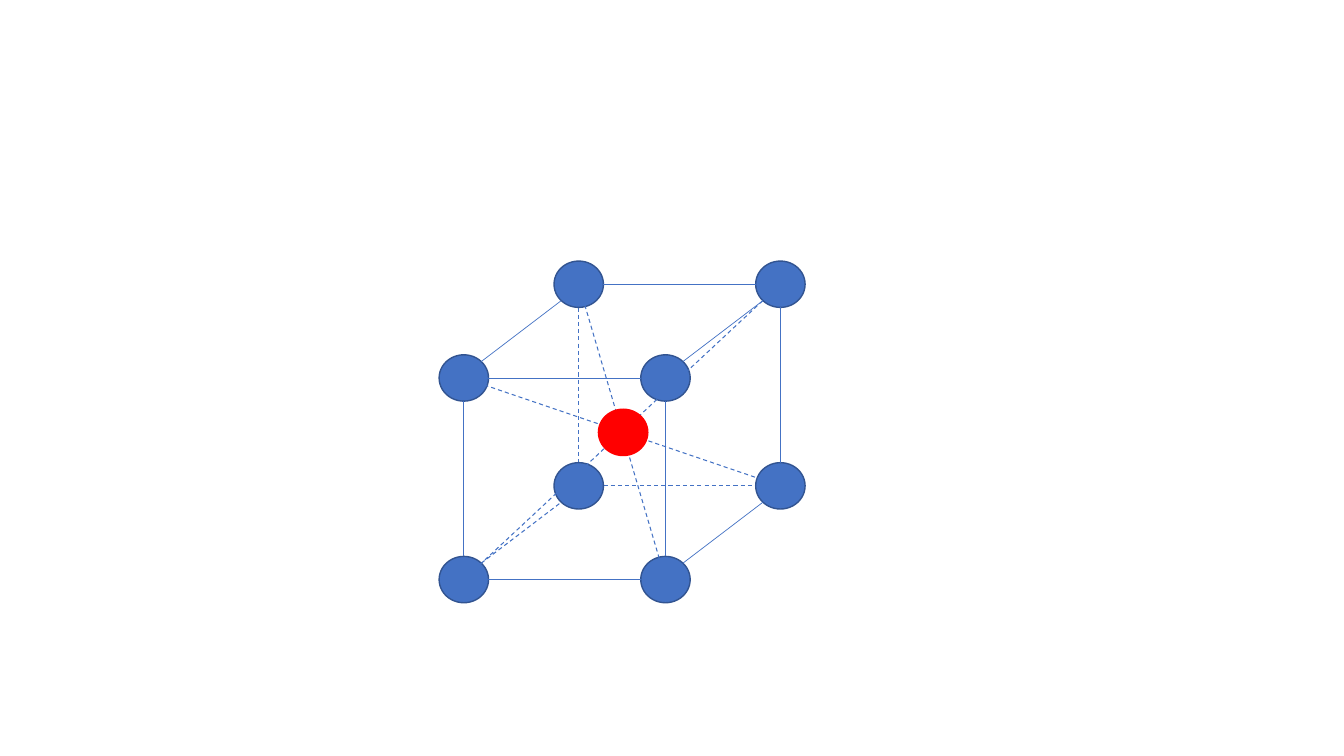
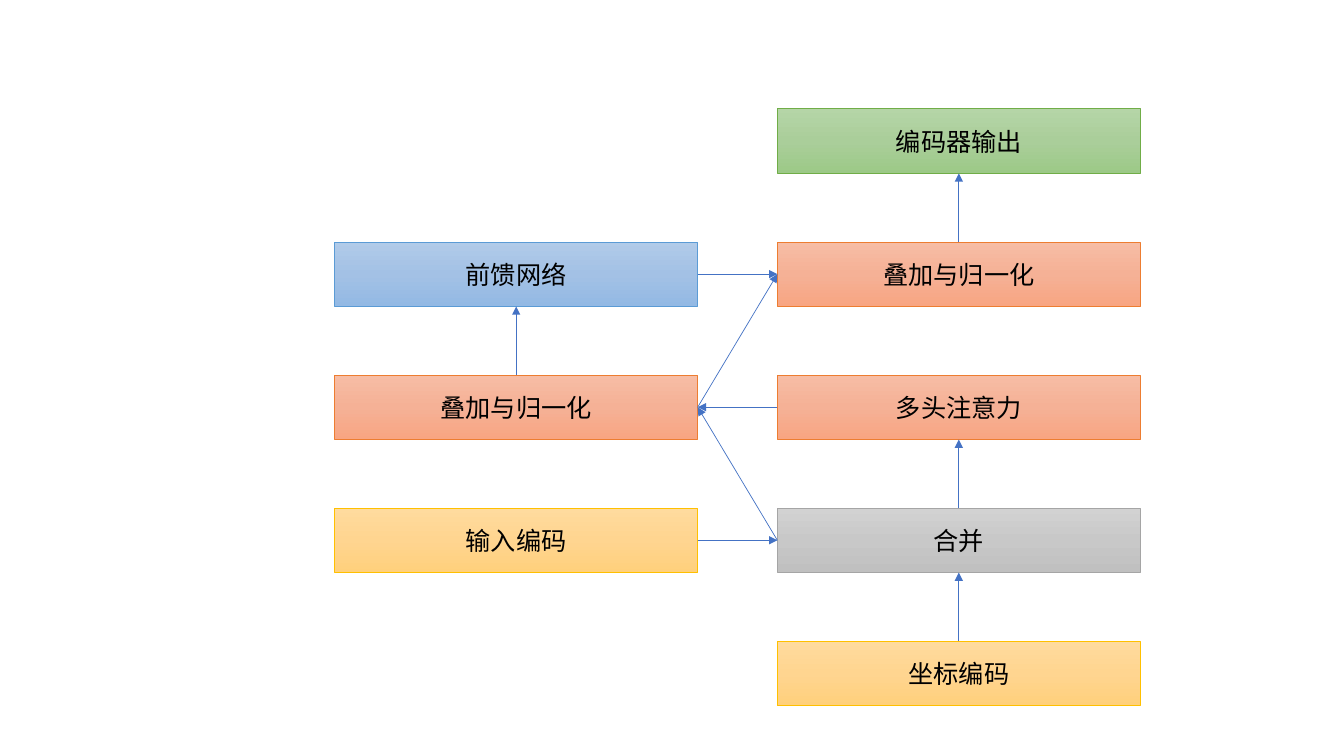
from copy import deepcopy
from itertools import combinations, product

from lxml.etree import SubElement
from pptx import Presentation
from pptx.dml.color import RGBColor
from pptx.enum.dml import MSO_LINE
from pptx.enum.shapes import MSO_CONNECTOR as CONNECTOR, MSO_SHAPE as SHAPE
from pptx.enum.text import MSO_ANCHOR as ANCHOR, PP_ALIGN as ALIGN
from pptx.oxml.ns import qn
from pptx.util import Emu, Pt

# Shared style: 100 px to the inch
SCALE = 9144
SLIDE_SIZE = 1333, 750
BLUE, RED = "4472C4", "FF0000"
FONT = "Noto Sans CJK SC"
SOLID = {"width": Pt(0.5)}
DASHED = {"width": Pt(0.75), "dash_style": MSO_LINE.DASH}

# Slide 1: cube of atoms, each corner is (right, bottom, back) as 0 or 1
ATOM = 49, 46
FRONT_CORNER = 460, 375
AXES = (200, 0), (0, 200), (114, -93)
HIDDEN_CORNER = 0, 1, 1
CENTRE_ATOM = 618, 429
DIAGONALS = [
    ((0, 0, 0), (1, 1, 1)),
    ((0, 0, 1), (1, 1, 0)),
    ((0, 1, 0), (1, 0, 1)),
]
# Where an edge along each axis leaves an atom, as a share of its radii
EXITS = (1, 0), (0, 1), (0.71, -0.71)

# Slide 2: encoder, each box is (column, row, palette, text)
BOX = 360, 64
COLUMNS = 332, 771
FIRST_ROW, ROW_STEP = 108, 132
PALETTES = {  # line, then gradient from top to bottom
    "yellow": ("FFC000", "FFDB9E", "FFD590", "FFD07C"),
    "grey": ("A5A5A5", "D2D2D2", "C8C8C8", "C0C0C0"),
    "orange": ("ED7D31", "F7BDA5", "F5B196", "F8A582"),
    "green": ("70AD47", "B5D5A7", "AACE9A", "9CC987"),
    "blue": ("5B9BD5", "B1CBE9", "A3C1E5", "93B9E4"),
}
BOXES = {
    "position": (1, 4, "yellow", "坐标编码"),
    "merge": (1, 3, "grey", "合并"),
    "attention": (1, 2, "orange", "多头注意力"),
    "second norm": (1, 1, "orange", "叠加与归一化"),
    "output": (1, 0, "green", "编码器输出"),
    "first norm": (0, 2, "orange", "叠加与归一化"),
    "input": (0, 3, "yellow", "输入编码"),
    "feed forward": (0, 1, "blue", "前馈网络"),
}
TOP, LEFT, BOTTOM, RIGHT = range(4)
ARROWS = [
    ("position", TOP, "merge", BOTTOM),
    ("merge", TOP, "attention", BOTTOM),
    ("feed forward", RIGHT, "second norm", LEFT),
    ("second norm", TOP, "output", BOTTOM),
    ("input", RIGHT, "merge", LEFT),
    ("attention", LEFT, "first norm", RIGHT),
    ("first norm", RIGHT, "second norm", LEFT),
    ("merge", LEFT, "first norm", RIGHT),
    ("first norm", TOP, "feed forward", BOTTOM),
]


def px(length):
    return Emu(round(length * SCALE))


def colour(value):
    return RGBColor.from_string(value)


def apply(target, values):
    for name, value in values.items():
        setattr(target, name, value)


def add_shape(slide, kind, left, top, size, outline, width):
    shape = slide.shapes.add_shape(kind, *map(px, (left, top, *size)))
    shape.shadow.inherit = False
    shape.line.color.rgb = colour(outline)
    shape.line.width = Pt(width)
    return shape


def add_line(slide, start=(0, 0), end=(0, 0), style=SOLID):
    line = slide.shapes.add_connector(CONNECTOR.STRAIGHT, *map(px, (*start, *end)))
    line.line.color.rgb = colour(BLUE)
    apply(line.line, style)
    SubElement(line._element.spPr, qn("a:effectLst"))
    return line


# Cube
def corner_point(corner):
    return tuple(
        origin + sum(bit * axis[i] for bit, axis in zip(corner, AXES))
        for i, origin in enumerate(FRONT_CORNER)
    )


def add_atom(slide, centre, fill, outline):
    left, top = (middle - size / 2 for middle, size in zip(centre, ATOM))
    atom = add_shape(slide, SHAPE.OVAL, left, top, ATOM, outline, 1)
    atom.fill.solid()
    atom.fill.fore_color.rgb = colour(fill)


def add_edge(slide, start, end, style):
    axis = [a != b for a, b in zip(start, end)].index(True)
    gap = [share * size / 2 for share, size in zip(EXITS[axis], ATOM)]
    add_line(
        slide,
        [p + g for p, g in zip(corner_point(start), gap)],
        [p - g for p, g in zip(corner_point(end), gap)],
        style,
    )


def build_cube(slide):
    corners = list(product((0, 1), repeat=3))
    edges = [(a, b) for a, b in combinations(corners, 2)
             if sum(i != j for i, j in zip(a, b)) == 1]
    hidden = [edge for edge in edges if HIDDEN_CORNER in edge]
    for edge in hidden:
        add_edge(slide, *edge, DASHED)
    for corner in corners:
        add_atom(slide, corner_point(corner), BLUE, "325491")
    for edge in edges:
        if edge not in hidden:
            add_edge(slide, *edge, SOLID)
    for start, end in DIAGONALS:
        add_line(slide, corner_point(start), corner_point(end), DASHED)
    add_atom(slide, CENTRE_ATOM, RED, RED)


# Encoder
def fill_gradient(shape, shades):
    shape.fill.gradient()
    shape.fill.gradient_angle = 270
    stops = shape._element.spPr.find(qn("a:gradFill")).find(qn("a:gsLst"))
    stops.append(deepcopy(stops[0]))
    for i, (stop, shade) in enumerate(zip(shape.fill.gradient_stops, shades)):
        stop.position = i / 2
        stop.color.rgb = colour(shade)


def add_box(slide, column, row, palette, text):
    outline, *shades = PALETTES[palette]
    top = FIRST_ROW + row * ROW_STEP
    box = add_shape(slide, SHAPE.RECTANGLE, COLUMNS[column], top, BOX, outline, 0.5)
    fill_gradient(box, shades)
    box.text_frame.vertical_anchor = ANCHOR.MIDDLE
    paragraph = box.text_frame.paragraphs[0]
    paragraph.alignment = ALIGN.CENTER
    run = paragraph.add_run()
    run.text = text
    run.font.color.rgb = colour("000000")
    apply(run.font, {"size": Pt(18), "name": FONT})
    SubElement(run._r.get_or_add_rPr(), qn("a:ea"), typeface=FONT)
    return box


def build_encoder(slide):
    boxes = {name: add_box(slide, *box) for name, box in BOXES.items()}
    for source, exit_side, target, entry_side in ARROWS:
        arrow = add_line(slide)
        arrow.begin_connect(boxes[source], exit_side)
        arrow.end_connect(boxes[target], entry_side)
        SubElement(arrow.line._get_or_add_ln(), qn("a:tailEnd"), type="triangle")


def main():
    presentation = Presentation()
    presentation.slide_width, presentation.slide_height = map(px, SLIDE_SIZE)
    for build in (build_cube, build_encoder):
        build(presentation.slides.add_slide(presentation.slide_layouts[6]))
    presentation.save("out.pptx")


if __name__ == "__main__":
    main()
